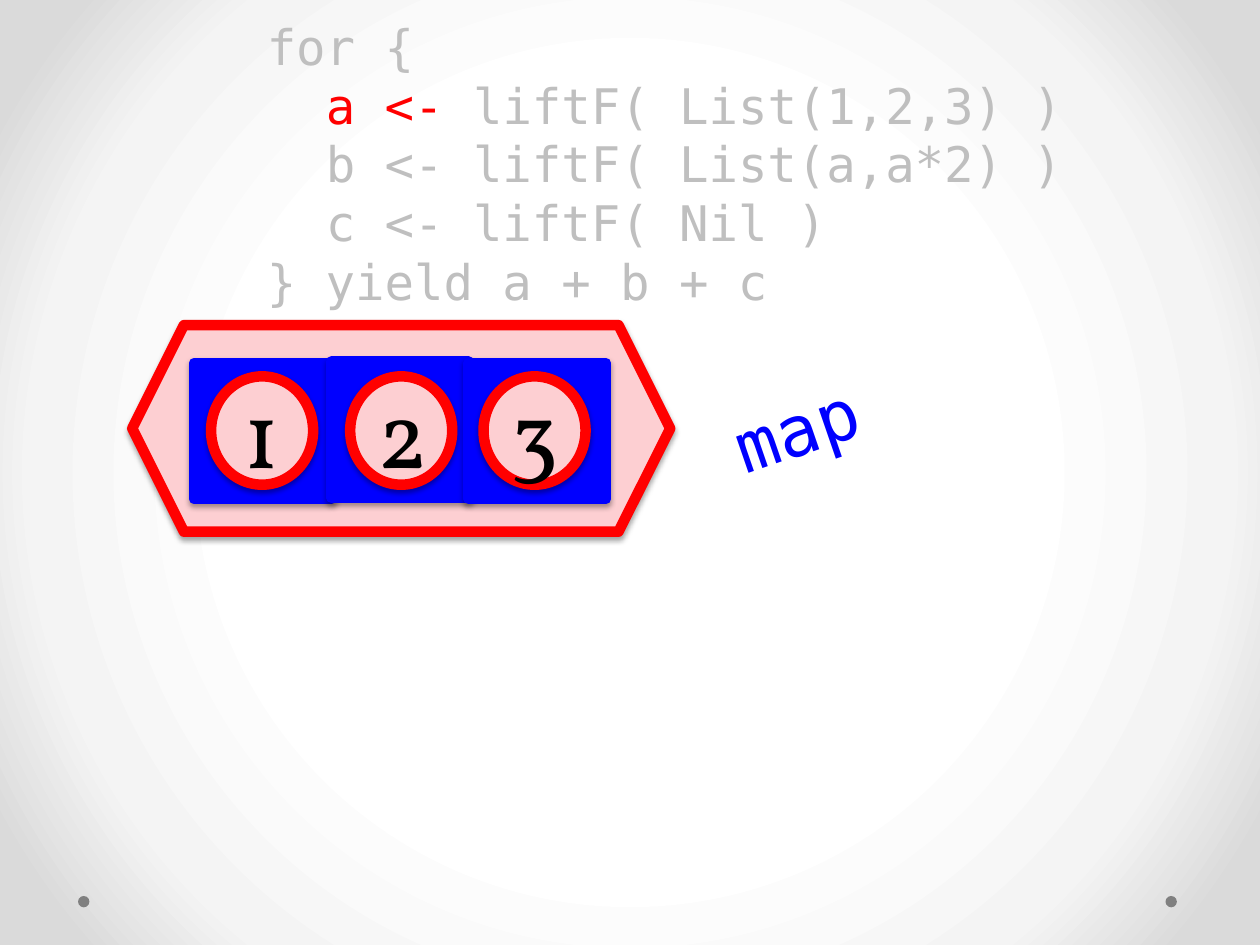
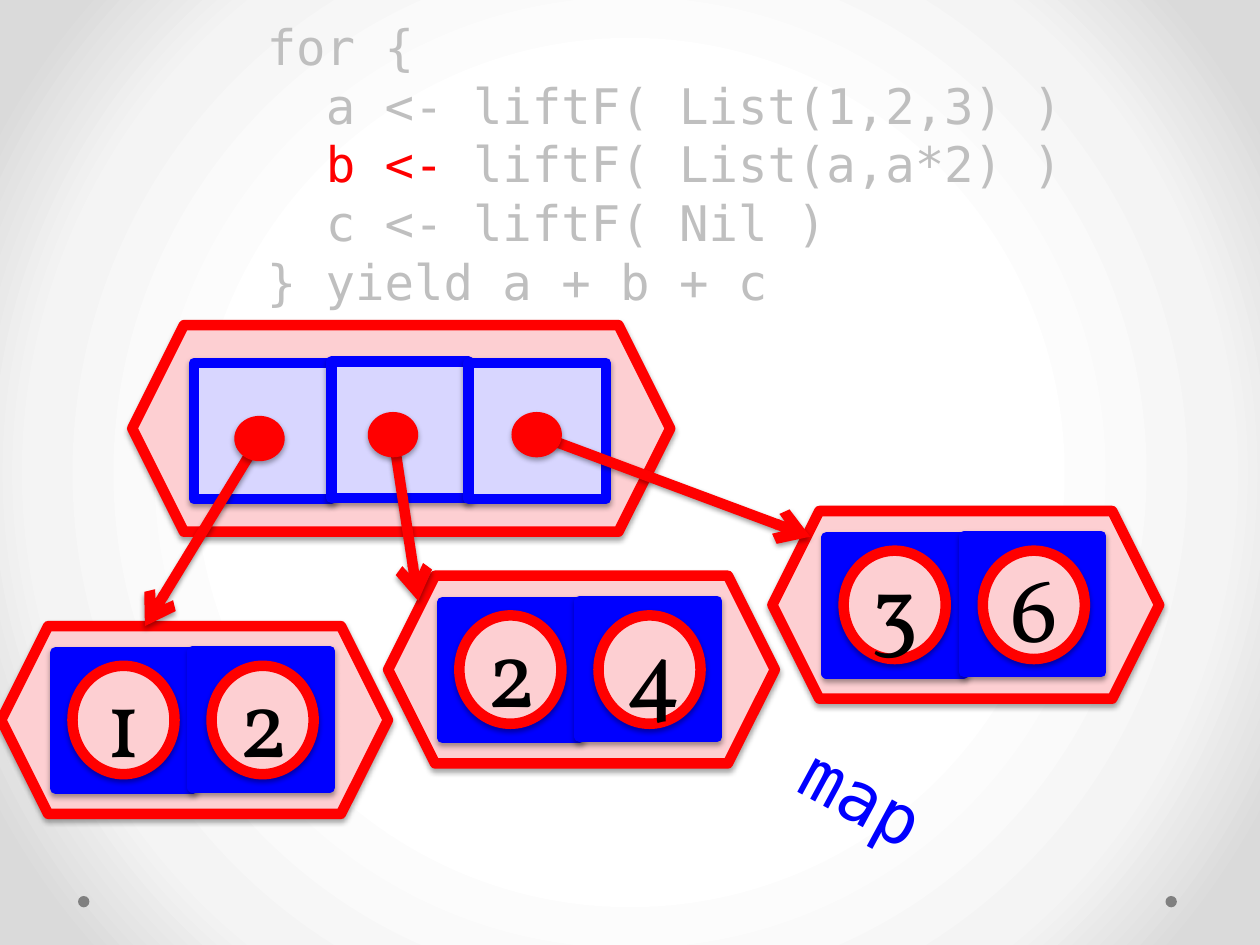
from dataclasses import dataclass

from pptx import Presentation
from pptx.dml.color import RGBColor
from pptx.enum.shapes import MSO_CONNECTOR as Connector, MSO_SHAPE as Preset
from pptx.enum.text import MSO_ANCHOR as Anchor, MSO_AUTO_SIZE as AutoSize, PP_ALIGN as Align
from pptx.oxml import parse_xml
from pptx.oxml.ns import nsdecls, qn
from pptx.util import Pt


@dataclass(frozen=True)
class Theme:
    red: str = "FF0000"
    pink: str = "FDCFD2"
    blue: str = "0000FF"
    lavender: str = "D8D6FF"
    black: str = "000000"
    code_gray: str = "BFBFBF"
    dot_gray: str = "808080"
    backdrop: tuple = ((50, "FFFFFF"), (76, "F4F4F4"), (92, "DADADA"))
    code_font: str = "DejaVu Sans Mono"
    value_font: str = "Vollkorn"
    code_size: float = 28
    label_size: float = 40
    value_size: float = 54
    stroke: float = 6


CODE = (
    (0, "for {"),
    (1, "a <- liftF( List(1,2,3) )"),
    (1, "b <- liftF( List(a,a*2) )"),
    (1, "c <- liftF( Nil )"),
    (0, "} yield a + b + c"),
)
CODE_INDENT = 33.7
CELL_WIDTH, CELL_HEIGHT, CELL_PITCH = 78.5, 77.8, 78.4
CELL_RISES = (0, 0.7, 0)
DISC_WIDTH, DISC_HEIGHT, DISC_TOP = 58.3, 61.9, 7.7
DISC_INSETS = (9.7, 10.8, 8.6)
KNOB_WIDTH, KNOB_HEIGHT = 28.8, 25.9

OUTER = (75.6, 185.8, 307.4, 118.1)
OUTER_MARGIN = (35.3, 21.6)
INNER_SIZE = (221, 107.3)
INNER_MARGIN = (31, 15)


class Deck:
    def __init__(self, theme):
        self.theme = theme
        self.presentation = Presentation()
        self.presentation.slide_width = Pt(720)
        self.presentation.slide_height = Pt(540)
        self.slide = None
        self.set_backdrop()

    def set_backdrop(self):
        master = self.presentation.slide_master
        master.background.fill.solid()
        plain = master.element.find(".//" + qn("p:bgPr")).find(qn("a:solidFill"))
        stops = "".join(
            f'<a:gs pos="{place * 1000}"><a:srgbClr val="{color}"/></a:gs>'
            for place, color in self.theme.backdrop
        )
        plain.getparent().replace(plain, parse_xml(
            f'<a:gradFill {nsdecls("a")} rotWithShape="1"><a:gsLst>{stops}</a:gsLst>'
            '<a:path path="circle"><a:fillToRect l="50000" t="50000" r="50000" b="50000"/>'
            '</a:path></a:gradFill>'
        ))

    def new_slide(self):
        self.slide = self.presentation.slides.add_slide(self.presentation.slide_layouts[6])
        for left in (666, 44.6):
            self.shape(Preset.OVAL, (left, 512, 6.5, 6.5), self.theme.dot_gray, shadow=False)

    def cast_shadow(self, figure, opacity, distance):
        properties = figure.element.spPr
        effects = properties.find(qn("a:effectLst"))
        if effects is not None:
            properties.remove(effects)
        properties.append(parse_xml(
            f'<a:effectLst {nsdecls("a")}><a:outerShdw blurRad="{Pt(3.1)}" '
            f'dist="{Pt(distance)}" dir="5400000" rotWithShape="0"><a:srgbClr '
            f'val="{self.theme.black}"><a:alpha val="{opacity * 1000}"/></a:srgbClr>'
            '</a:outerShdw></a:effectLst>'
        ))

    def shape(self, preset, box, fill, line=None, shadow=True):
        figure = self.slide.shapes.add_shape(preset, *map(Pt, box))
        figure.shadow.inherit = False
        figure.fill.solid()
        figure.fill.fore_color.rgb = RGBColor.from_string(fill)
        if line:
            figure.line.color.rgb = RGBColor.from_string(line)
            figure.line.width = Pt(self.theme.stroke)
        else:
            figure.line.fill.background()
        if shadow:
            self.cast_shadow(figure, 35, 1.8)
        return figure

    def format_run(self, run, font, size, color):
        run.font.name = font
        run.font.size = Pt(size)
        run.font.color.rgb = RGBColor.from_string(color)

    def text_box(self, box):
        holder = self.slide.shapes.add_textbox(*map(Pt, box))
        holder.text_frame.word_wrap = True
        holder.text_frame.auto_size = AutoSize.SHAPE_TO_FIT_TEXT
        return holder

    def code(self, active):
        theme = self.theme
        frame = self.text_box((145.4, 5.8, 524.2, 177.1)).text_frame
        for row, (depth, statement) in enumerate(CODE):
            paragraph = frame.paragraphs[0] if row == 0 else frame.add_paragraph()
            if depth:
                paragraph._p.get_or_add_pPr().set("marL", str(Pt(depth * CODE_INDENT)))
            binding = f"{active} <- "
            if statement.startswith(binding):
                parts = ((binding, theme.red), (statement[len(binding):], theme.code_gray))
            else:
                parts = ((statement, theme.code_gray),)
            for words, color in parts:
                run = paragraph.add_run()
                run.text = words
                self.format_run(run, theme.code_font, theme.code_size, color)

    def label(self, words, left, top, angle):
        holder = self.text_box((left, top, 194.4, 55.4))
        holder.rotation = angle
        holder.text_frame.text = words
        run = holder.text_frame.paragraphs[0].runs[0]
        self.format_run(run, self.theme.code_font, self.theme.label_size, self.theme.blue)

    def disc(self, value, left, top):
        theme = self.theme
        circle = self.shape(Preset.OVAL, (left, top, DISC_WIDTH, DISC_HEIGHT),
                            theme.pink, theme.red)
        frame = circle.text_frame
        frame.text = str(value)
        frame.vertical_anchor = Anchor.MIDDLE
        frame.paragraphs[0].alignment = Align.CENTER
        self.format_run(frame.paragraphs[0].runs[0], theme.value_font,
                        theme.value_size, theme.black)

    def container(self, box, margin, values=(), empty_cells=0):
        theme = self.theme
        self.shape(Preset.HEXAGON, box, theme.pink, theme.red)
        left, top = box[0] + margin[0], box[1] + margin[1]
        for index in range(len(values) or empty_cells):
            self.shape(Preset.RECTANGLE,
                       (left + index * CELL_PITCH, top - CELL_RISES[index],
                        CELL_WIDTH, CELL_HEIGHT),
                       theme.blue if values else theme.lavender, theme.blue)
        for index, value in enumerate(values):
            self.disc(value, left + index * CELL_PITCH + DISC_INSETS[index], top + DISC_TOP)

    def pointer(self, start, end):
        arrow = self.slide.shapes.add_connector(Connector.STRAIGHT, *map(Pt, start + end))
        arrow.line.color.rgb = RGBColor.from_string(self.theme.red)
        arrow.line.width = Pt(self.theme.stroke)
        arrow.line._get_or_add_ln().append(
            parse_xml(f'<a:tailEnd {nsdecls("a")} type="arrow"/>'))
        self.cast_shadow(arrow, 38, 1.6)
        self.shape(Preset.OVAL,
                   (start[0] - KNOB_WIDTH / 2, start[1] - KNOB_HEIGHT / 2,
                    KNOB_WIDTH, KNOB_HEIGHT), self.theme.red)


deck = Deck(Theme())

deck.new_slide()
deck.code("a")
deck.container(OUTER, OUTER_MARGIN, values=(1, 2, 3))
deck.label("map", 409, 199.4, 341)

deck.new_slide()
deck.code("b")
deck.container(OUTER, OUTER_MARGIN, empty_cells=3)
deck.label("map", 443.5, 452.9, 28.4)
for corner, values in (
    ((0.7, 357.8), (1, 2)),
    ((221.8, 329), (2, 4)),
    ((441.4, 292), (3, 6)),
):
    deck.container(corner + INNER_SIZE, INNER_MARGIN, values)
for start, end in (
    ((148.3, 250.6), (82.8, 357.8)),
    ((224.6, 248.4), (239, 343.4)),
    ((306.7, 248.4), (463, 306.7)),
):
    deck.pointer(start, end)

deck.presentation.save("out.pptx")
